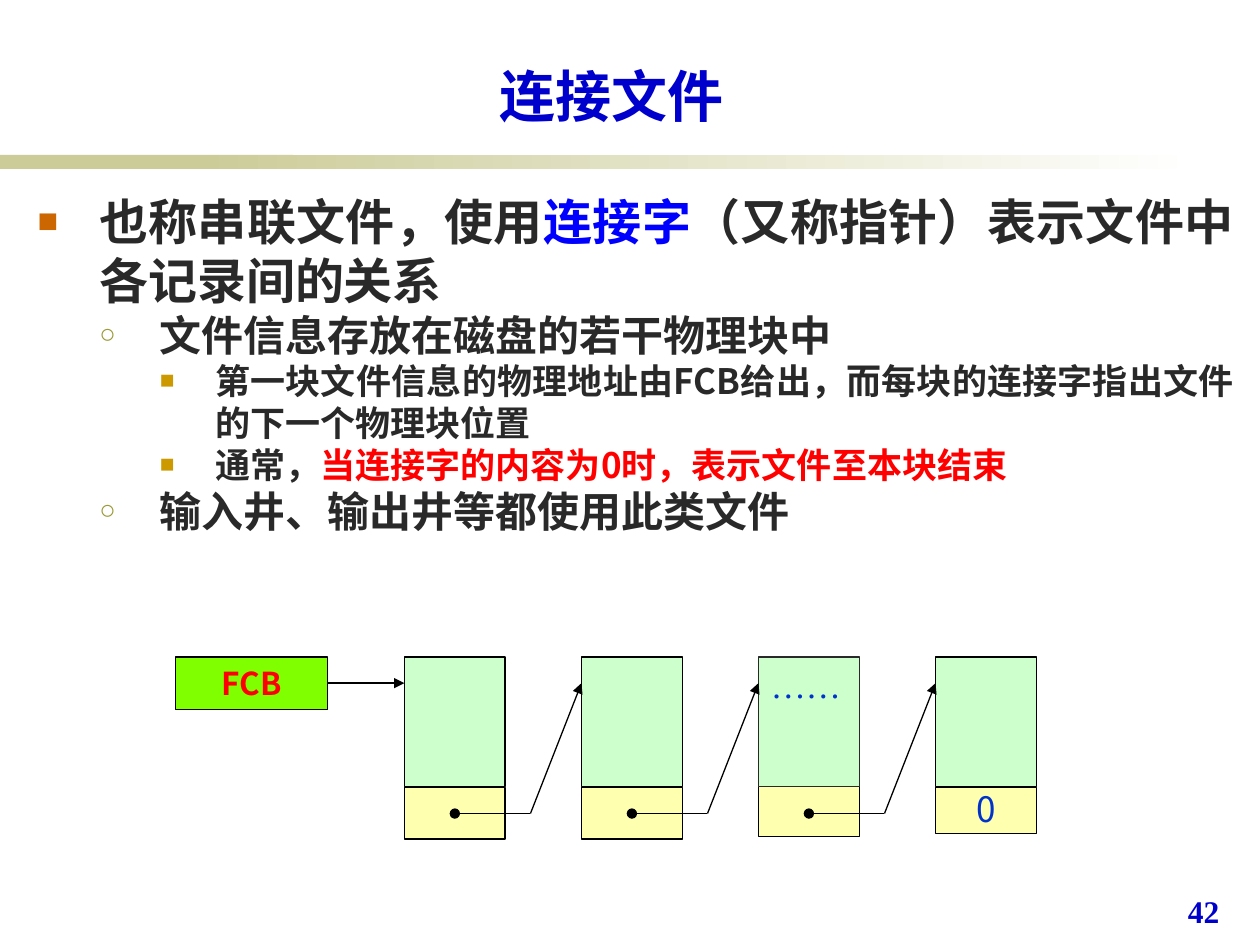
from lxml import etree
from pptx import Presentation
from pptx.dml.color import RGBColor
from pptx.enum.shapes import MSO_CONNECTOR, MSO_SHAPE
from pptx.enum.text import MSO_ANCHOR, MSO_AUTO_SIZE, PP_ALIGN
from pptx.oxml.ns import qn
from pptx.util import Inches, Pt

RECTANGLE = MSO_SHAPE.RECTANGLE
STRAIGHT = MSO_CONNECTOR.STRAIGHT
TOP, MIDDLE, BOTTOM = MSO_ANCHOR.TOP, MSO_ANCHOR.MIDDLE, MSO_ANCHOR.BOTTOM
CENTER, JUSTIFY, LEFT = PP_ALIGN.CENTER, PP_ALIGN.JUSTIFY, PP_ALIGN.LEFT
NO_AUTOFIT = MSO_AUTO_SIZE.NONE
SANS, SERIF = "Noto Sans CJK JP", "Times New Roman"
COLORS = {
    "title": "0000CC", "text": "292929", "term": "0000FF", "alert": "FF0000",
    "band": "CCCC99", "white": "FFFFFF", "line": "000000", "fcb": "80FF00",
    "data": "CCFFCC", "link": "FFFFB0", "mark": "0033CC",
    "bullet0": "CC6600", "bullet1": "999933", "bullet2": "CC9900",
}
RGB = {name: RGBColor.from_string(value) for name, value in COLORS.items()}

deck = Presentation()
deck.slide_width, deck.slide_height = Inches(10), Inches(7.5)
page = deck.slides.add_slide(deck.slide_layouts[5])
COLUMN, ROW = deck.slide_width / 100, deck.slide_height / 75


def add_span(para, text, size, color, font=SANS, bold=False):
    span = para.add_run()
    span.text = text
    span.font.size, span.font.name, span.font.bold = Pt(size), font, bold
    span.font.color.rgb = RGB[color]
    etree.SubElement(span.font._element, qn("a:ea"), typeface=font)


def add_box(left, top, width, height, fill, outline=None):
    box = page.shapes.add_shape(RECTANGLE, int(left * COLUMN), int(top * ROW),
                                int(width * COLUMN), int(height * ROW))
    box.shadow.inherit = False
    box.fill.solid()
    box.fill.fore_color.rgb = RGB[fill]
    if outline:
        box.line.color.rgb = RGB[outline]
        box.line.width = Pt(0.75)
    else:
        box.line.fill.background()
    return box


add_box(0, 12.3, 23.3, 1.1, "band")
fade = add_box(15.8, 12.3, 79.2, 1.1, "band")
fade.fill.gradient()
fade.fill.gradient_angle = 0
for stop, color in zip(fade.fill.gradient_stops, ("band", "white")):
    stop.color.rgb = RGB[color]

title = page.shapes.title
title.left, title.top = int(8.3 * COLUMN), int(4.4 * ROW)
title.width, title.height = int(80.5 * COLUMN), int(6.3 * ROW)
title.text_frame.auto_size = NO_AUTOFIT
title.text_frame.vertical_anchor = BOTTOM
title.text_frame.paragraphs[0].alignment = CENTER
add_span(title.text_frame.paragraphs[0], "连接文件", 32, "title", bold=True)

LEVELS = [
    (28, 0.49, 0.49, "■", 70),
    (24, 0.97, 0.48, "○", 65),
    (20, 1.41, 0.44, "■", 70),
]
POINTS = [
    (0, [("也称串联文件，使用", "text"), ("连接字", "term"),
         ("（又称指针）表示文件中各记录间的关系", "text")]),
    (1, [("文件信息存放在磁盘的若干物理块中", "text")]),
    (2, [("第一块文件信息的物理地址由FCB给出，而每块的连接字指出文件的下一个物理块位置", "text")]),
    (2, [("通常，", "text"), ("当连接字的内容为0时，表示文件至本块结束", "alert")]),
    (1, [("输入井、输出井等都使用此类文件", "text")]),
]
body = page.shapes.add_textbox(int(2 * COLUMN), int(14.7 * ROW),
                               int(96.9 * COLUMN), int(54.3 * ROW))
body.text_frame.word_wrap = True
for number, (level, spans) in enumerate(POINTS):
    frame = body.text_frame
    para = frame.add_paragraph() if number else frame.paragraphs[0]
    size, margin, hanging, bullet, percent = LEVELS[level]
    para.level, para.alignment, para.line_spacing = level, JUSTIFY, 1.0
    props = para._p.get_or_add_pPr()
    props.set("marL", str(Inches(margin)))
    props.set("indent", str(-Inches(hanging)))
    tint = etree.SubElement(props, qn("a:buClr"))
    etree.SubElement(tint, qn("a:srgbClr"), val=COLORS[f"bullet{level}"])
    etree.SubElement(props, qn("a:buSzPct"), val=str(percent * 1000))
    etree.SubElement(props, qn("a:buFont"), typeface=SERIF)
    etree.SubElement(props, qn("a:buChar"), char=bullet)
    for text, color in spans:
        add_span(para, text, size, color, bold=True)

FIRST, PITCH, WIDTH = 32.1, 14.05, 8
DATA_TOP, DATA_HEIGHT, ENTRY, POINTER = 52.15, 10.3, 54.22, 64.57
BLOCKS = [
    (62.5, 4.1, "line"),
    (62.5, 4.1, "line"),
    (62.3, 4.1, "text"),
    (62.5, 3.65, "line"),
]
fcb = add_box(13.95, DATA_TOP, 12.05, 4.14, "fcb", "line")
segments = [(26, ENTRY, FIRST, ENTRY, "tailEnd", "triangle")]
data_boxes, link_boxes = [], []
for number, (link_top, link_height, outline) in enumerate(BLOCKS):
    left = FIRST + number * PITCH
    link_boxes.append(add_box(left, link_top, WIDTH, link_height, "link", "line"))
    data_boxes.append(add_box(left, DATA_TOP, WIDTH, DATA_HEIGHT, "data", outline))
    if number < len(BLOCKS) - 1:
        middle, bend, following = left + WIDTH / 2, left + 10, left + PITCH
        segments += [
            (middle, POINTER, bend, POINTER, "headEnd", "oval"),
            (bend, POINTER, following, ENTRY, "tailEnd", "triangle"),
        ]

for start_x, start_y, end_x, end_y, end, kind in segments:
    arrow = page.shapes.add_connector(STRAIGHT, int(start_x * COLUMN), int(start_y * ROW),
                                      int(end_x * COLUMN), int(end_y * ROW))
    arrow.line.color.rgb = RGB["line"]
    arrow.line.width = Pt(0.75)
    etree.SubElement(arrow.line._get_or_add_ln(), qn(f"a:{end}"), type=kind)
    etree.SubElement(arrow._element.spPr, qn("a:effectLst"))
    if start_x == 26:
        arrow.begin_connect(fcb, 3)

LABELS = [
    (fcb, "FCB", 18, "alert", SANS, True, CENTER, MIDDLE, 0),
    (data_boxes[2], "……", 20, "mark", SERIF, False, JUSTIFY, TOP, 0.1),
    (link_boxes[3], "0", 20, "mark", SANS, False, CENTER, TOP, 0),
]
for box, text, size, color, font, bold, alignment, anchor, inset in LABELS:
    frame = box.text_frame
    frame.vertical_anchor = anchor
    frame.margin_left = frame.margin_right = Inches(inset)
    frame.margin_top = frame.margin_bottom = Inches(inset / 2)
    frame.paragraphs[0].alignment = alignment
    add_span(frame.paragraphs[0], text, size, color, font, bold)

page_number = page.shapes.add_textbox(int(93.3 * COLUMN), int(70.3 * ROW),
                                      int(6.4 * COLUMN), int(4.7 * ROW))
page_number.text_frame.word_wrap = True
page_number.text_frame.paragraphs[0].alignment = LEFT
add_span(page_number.text_frame.paragraphs[0], "42", 18, "title", SERIF, True)

deck.save("out.pptx")
